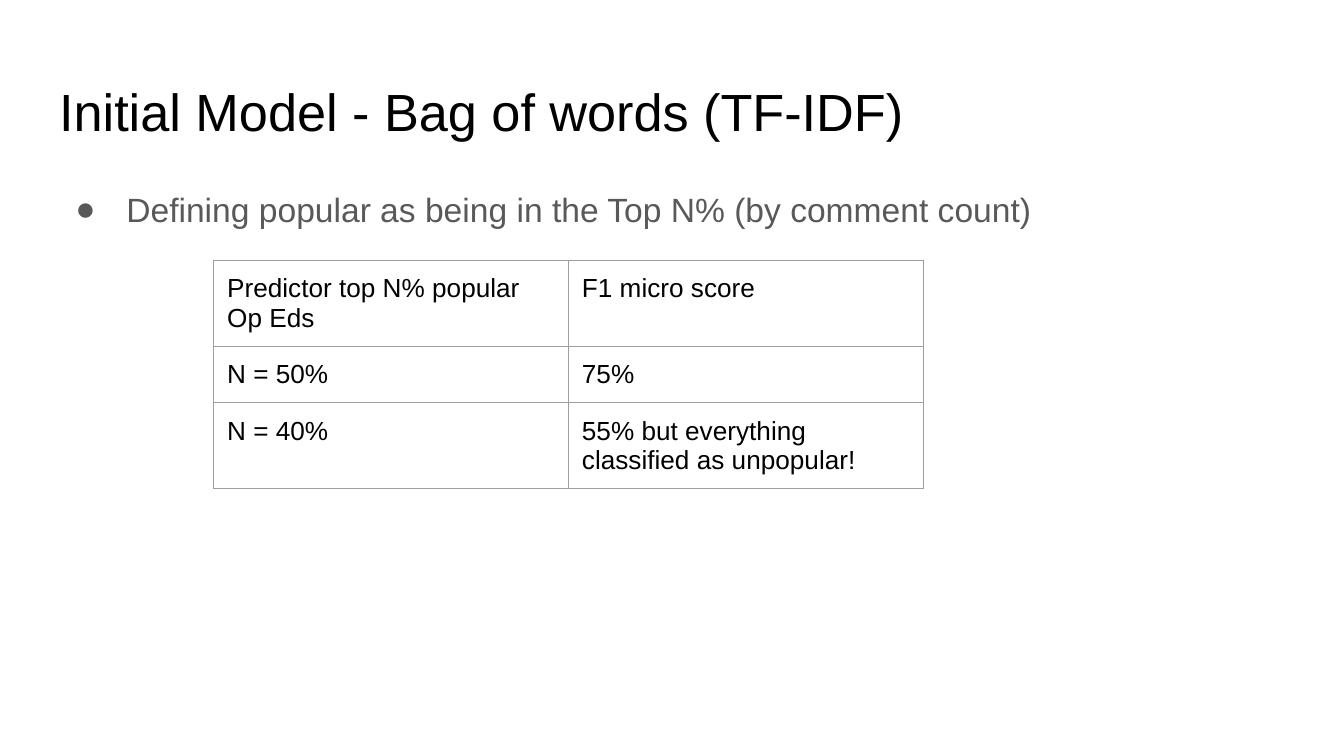
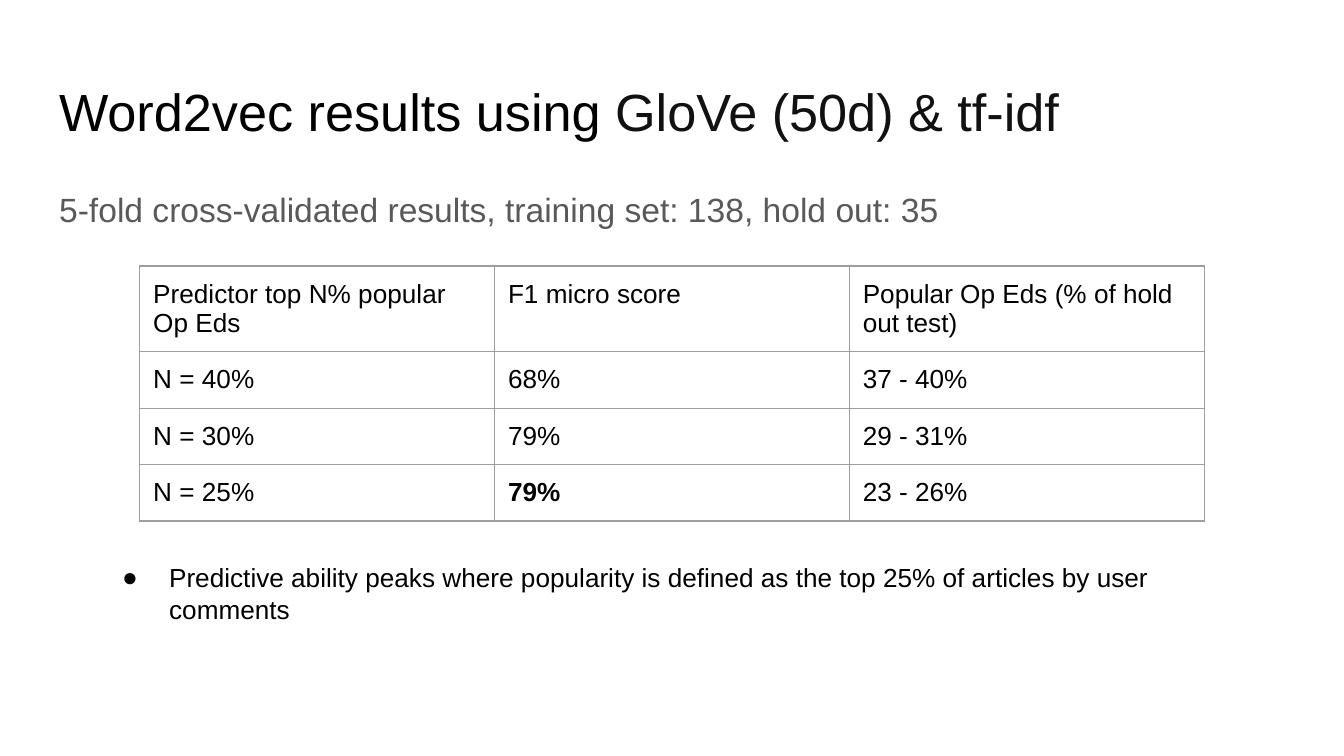
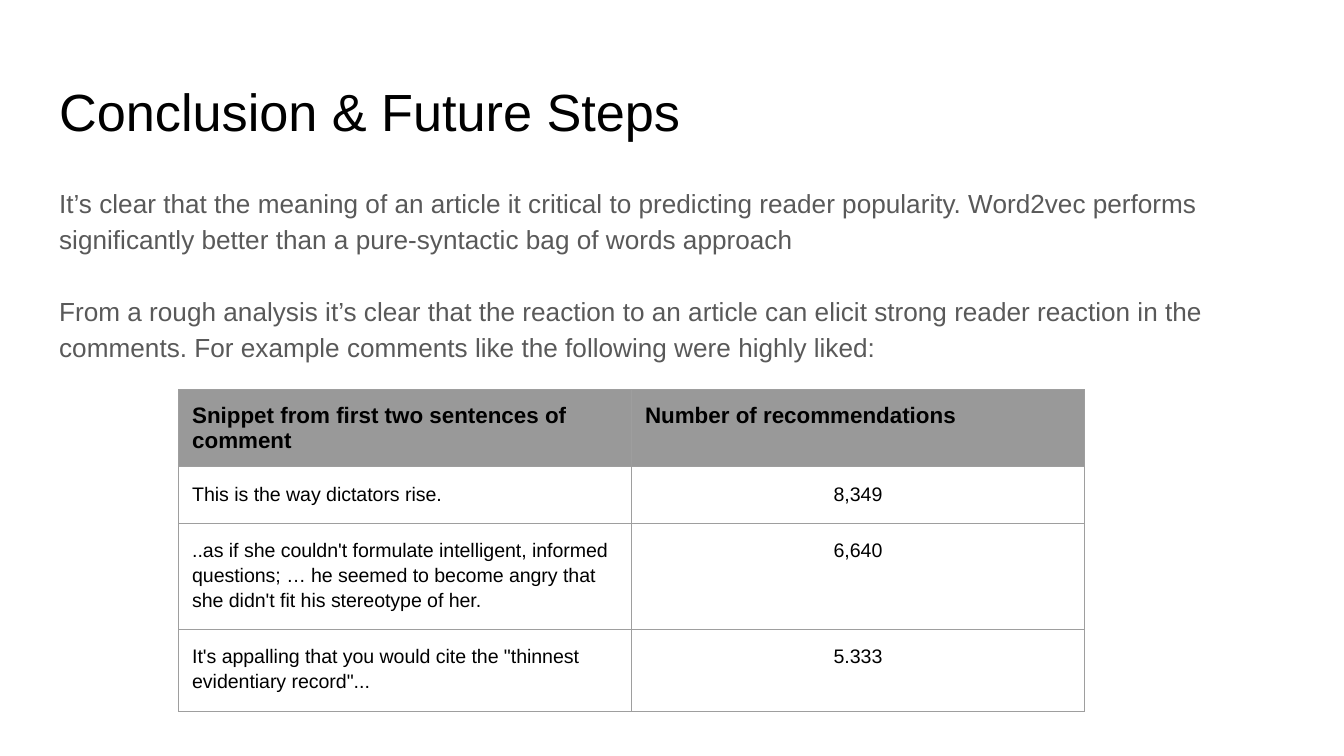
from dataclasses import dataclass

from lxml.etree import SubElement
from pptx import Presentation
from pptx.dml.color import RGBColor as RGB
from pptx.enum.text import MSO_ANCHOR as Anchor, MSO_AUTO_SIZE as AutoSize, PP_ALIGN as Align
from pptx.oxml.ns import qn
from pptx.util import Inches, Pt


@dataclass(frozen=True)
class Theme:
    font: str = "Arial"
    ink: str = "000000"
    soft_ink: str = "111111"
    grey: str = "595959"
    border: str = "9E9E9E"
    header_fill: str = "999999"
    title_size: float = 28
    lead_size: float = 18
    text_size: float = 14
    header_size: float = 12
    snippet_size: float = 10.5
    border_width: float = 0.75
    line_spacing: float = 1.15
    paragraph_gap: float = 19.3


theme = Theme()


def style_paragraph(paragraph, size, color, spacing=1.0, bold=False, align=Align.LEFT, hanging=0):
    """Format one paragraph; a hanging indent in inches also gives it a bullet."""
    paragraph.alignment = align
    paragraph.line_spacing = spacing
    paragraph.space_before = paragraph.space_after = Pt(0)
    props = paragraph._p.get_or_add_pPr()
    props.set("marL", str(Inches(0.5 if hanging else 0)))
    props.set("indent", str(-Inches(hanging)))
    if hanging:
        SubElement(SubElement(props, qn("a:buClr")), qn("a:srgbClr"), val=color)
        SubElement(props, qn("a:buFont"), typeface=theme.font)
        SubElement(props, qn("a:buChar"), char="●")
    else:
        SubElement(props, qn("a:buNone"))
    font = paragraph.font
    font.name, font.size, font.bold = theme.font, Pt(size), bold
    font.color.rgb = RGB.from_string(color)


def add_bordered_table(slide, left, top, column_width, rows):
    """Add a table of equal columns with thin grey borders on every cell."""
    columns = len(rows[0])
    table = slide.shapes.add_table(
        len(rows), columns, Inches(left), Inches(top),
        Inches(column_width * columns), Inches(0.42 * len(rows))).table
    table.first_row = table.horz_banding = False
    for column in table.columns:
        column.width = Inches(column_width)
    for row, texts in zip(table.rows, rows):
        row.height = Inches(0.42)
        for cell, text in zip(row.cells, texts):
            cell.text = text
            cell.margin_left = cell.margin_right = Inches(0.1)
            cell.margin_top = cell.margin_bottom = Inches(0.1)
            props = cell._tc.get_or_add_tcPr()
            for side in ("lnL", "lnR", "lnT", "lnB"):
                line = SubElement(props, qn(f"a:{side}"), w=str(Pt(theme.border_width)))
                SubElement(SubElement(line, qn("a:solidFill")), qn("a:srgbClr"), val=theme.border)
            cell.fill.background()
            style_paragraph(cell.text_frame.paragraphs[0], theme.text_size, theme.ink)
    return table


# Widescreen page, 16:9
prs = Presentation()
prs.slide_width = Inches(10)
prs.slide_height = prs.slide_width * 9 // 16

# Titles and body text: title runs, body paragraphs, body size, bullet indent, body height
pages = [
    (["Initial Model - Bag of words (TF-IDF)"],
     ["Defining popular as being in the Top N% (by comment count)"],
     theme.lead_size, 0.38, 3.74),
    (["Word2vec results using ", "GloVe (50d) & tf-idf"],
     ["5-fold cross-validated results, training set: 138, hold out: 35"],
     theme.lead_size, 0, 3.74),
    (["Conclusion & Future Steps"],
     ["It’s clear that the meaning of an article it critical to predicting reader popularity. "
      "Word2vec performs significantly better than a pure-syntactic bag of words approach",
      "From a rough analysis it’s clear that the reaction to an article can elicit strong reader "
      "reaction in the comments. For example comments like the following were highly liked:"],
     theme.text_size, 0, 4.1),
]
for title_runs, body_texts, body_size, hanging, body_height in pages:
    slide = prs.slides.add_slide(prs.slide_layouts[1])
    title, body = slide.placeholders
    for holder, top, height in ((title, 0.49, 0.63), (body, 1.26, body_height)):
        holder.left, holder.top = Inches(0.34), Inches(top)
        holder.width, holder.height = Inches(9.32), Inches(height)
        frame = holder.text_frame
        frame.margin_left = frame.margin_right = Inches(0.1)
        frame.margin_top = frame.margin_bottom = Inches(0.1)
        frame.vertical_anchor = Anchor.TOP
        frame.auto_size = AutoSize.NONE
        frame.word_wrap = True

    heading = title.text_frame.paragraphs[0]
    style_paragraph(heading, theme.title_size, theme.ink)
    for text, color in zip(title_runs, (theme.ink, theme.soft_ink)):
        run = heading.add_run()
        run.text = text
        run.font.color.rgb = RGB.from_string(color)

    body.text_frame.text = "\n".join(body_texts)
    for index, paragraph in enumerate(body.text_frame.paragraphs):
        style_paragraph(paragraph, body_size, theme.grey, theme.line_spacing, hanging=hanging)
        paragraph.space_before = Pt(theme.paragraph_gap if index else 0)

bag_of_words, word2vec, conclusion = prs.slides

# Bag of words scores
add_bordered_table(bag_of_words, 1.59, 1.94, 2.64, [
    ("Predictor top N% popular Op Eds", "F1 micro score"),
    ("N = 50%", "75%"),
    ("N = 40%", "55% but everything classified as unpopular!"),
])

# Word2vec scores, with the best one in bold
scores = add_bordered_table(word2vec, 1.04, 1.98, 2.64, [
    ("Predictor top N% popular Op Eds", "F1 micro score", "Popular Op Eds (% of hold out test)"),
    ("N = 40%", "68%", "37 - 40%"),
    ("N = 30%", "79%", "29 - 31%"),
    ("N = 25%", "79%", "23 - 26%"),
])
scores.cell(3, 1).text_frame.paragraphs[0].font.bold = True

# Word2vec finding
finding = word2vec.shapes.add_textbox(
    Inches(0.66), Inches(4.08), Inches(8.41), Inches(0.78)).text_frame
finding.word_wrap = True
finding.margin_left = finding.margin_right = Inches(0.1)
finding.margin_top = finding.margin_bottom = Inches(0.1)
finding.text = ("Predictive ability peaks where popularity is defined as the top 25% "
                "of articles by user comments")
style_paragraph(finding.paragraphs[0], theme.text_size, theme.ink, hanging=0.35)

# Most recommended comments
comments = add_bordered_table(conclusion, 1.33, 2.9, 3.37, [
    ("Snippet from first two sentences of comment", "Number of recommendations"),
    ("This is the way dictators rise.", "8,349"),
    ("..as if she couldn't formulate intelligent, informed questions; … he seemed to become "
     "angry that she didn't fit his stereotype of her.", "6,640"),
    ("It's appalling that you would cite the \"thinnest evidentiary record\"...", "5.333"),
])
for row_index, (row, height) in enumerate(zip(comments.rows, (0.42, 0.42, 0.79, 0.61))):
    row.height = Inches(height)
    for column_index, cell in enumerate(row.cells):
        paragraph = cell.text_frame.paragraphs[0]
        if row_index == 0:
            cell.fill.solid()
            cell.fill.fore_color.rgb = RGB.from_string(theme.header_fill)
            paragraph.font.size, paragraph.font.bold = Pt(theme.header_size), True
        else:
            paragraph.font.size = Pt(theme.snippet_size)
            paragraph.line_spacing = theme.line_spacing
            paragraph.alignment = Align.CENTER if column_index else Align.LEFT

prs.save("out.pptx")
